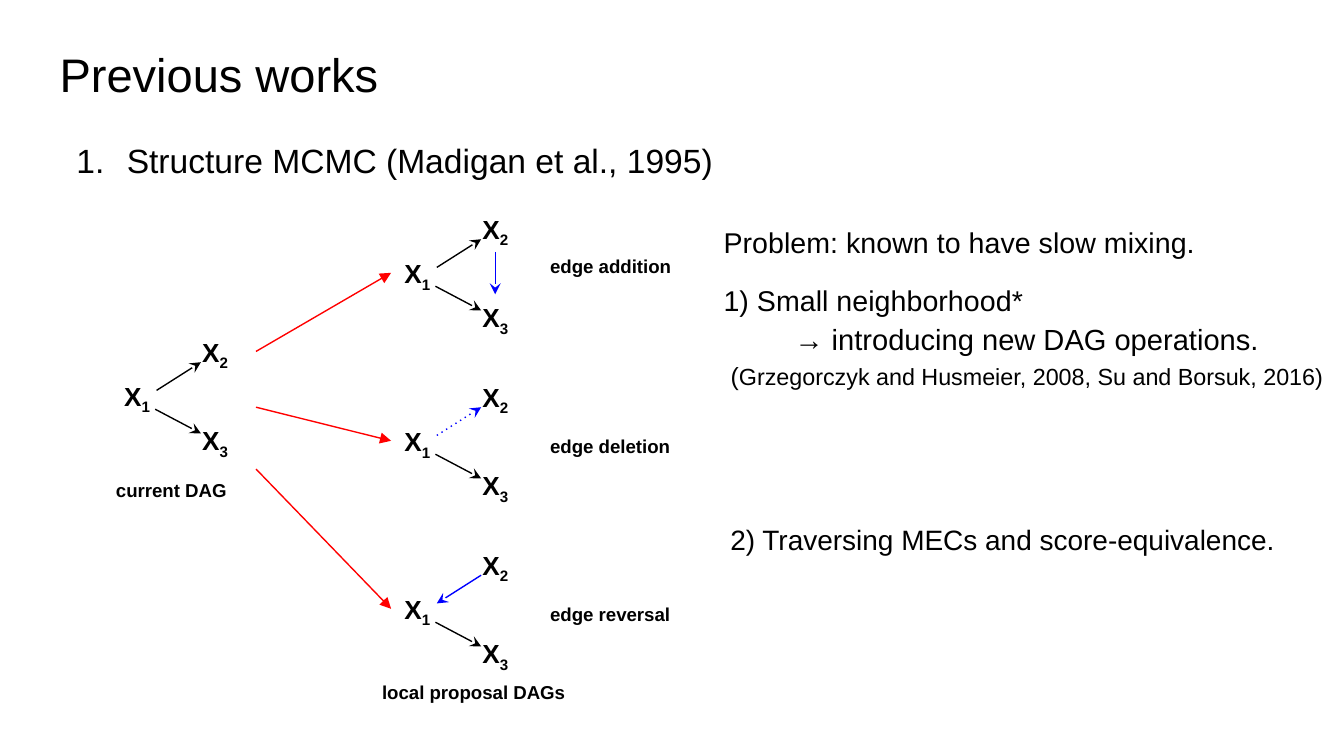
import pptx
import pptx.dml.color
import pptx.enum.shapes
import pptx.enum.text
import pptx.oxml.ns
import pptx.util
from lxml import etree

PX = 4572  # EMU in one px, at 200 px to the inch
FONT = "Arial"
BLACK = pptx.dml.color.RGBColor(0x00, 0x00, 0x00)
BLUE = pptx.dml.color.RGBColor(0x00, 0x00, 0xFF)
RED = pptx.dml.color.RGBColor(0xFF, 0x00, 0x00)
CENTER = pptx.enum.text.PP_ALIGN.CENTER

CURRENT_DAG = (165, 546)
PROPOSAL_X = 582
PROPOSAL_TOPS = (363, 613, 863)


def px(length):
    return pptx.util.Emu(length * PX)


def add_child(parent, tag, **attributes):
    return etree.SubElement(parent, pptx.oxml.ns.qn(tag), attributes)


def add_box(slide, left, top, width, height):
    """Add a wrapping text box with equal insets and return its text frame."""
    frame = slide.shapes.add_textbox(px(left), px(top), px(width), px(height)).text_frame
    frame.word_wrap = True
    frame.margin_left = frame.margin_right = px(20)
    frame.margin_top = frame.margin_bottom = px(20)
    return frame


def add_run(paragraph, text, size, bold=False):
    run = paragraph.add_run()
    run.text = text
    run.font.name = FONT
    run.font.size = pptx.util.Pt(size)
    run.font.bold = bold
    run.font.color.rgb = BLACK
    return run


def add_text(slide, box, text, size, bold=False):
    paragraph = add_box(slide, *box).paragraphs[0]
    add_run(paragraph, text, size, bold)
    return paragraph


def add_arrow(slide, start, end, color=BLACK, head="stealth", dotted=False):
    arrow = slide.shapes.add_connector(
        pptx.enum.shapes.MSO_CONNECTOR.STRAIGHT,
        px(start[0]), px(start[1]), px(end[0]), px(end[1]))
    arrow.line.color.rgb = color
    arrow.line.width = pptx.util.Pt(0.75)
    line = arrow.line._get_or_add_ln()
    if dotted:
        add_child(line, "a:prstDash", val="dot")
    add_child(line, "a:tailEnd", type=head)
    add_child(arrow._element.spPr, "a:effectLst")


def add_node(slide, left, top, index):
    """Add the label X with its index as a subscript."""
    paragraph = add_text(slide, (left, top, 98, 88), "X", 14, bold=True)
    subscript = add_run(paragraph, index, 14, bold=True)
    subscript._r.get_or_add_rPr().set("baseline", "-25000")


def add_dag(slide, left, top, color=BLACK, dotted=False, reverse=False):
    """Add X1 with its edges to X2 and X3; the options style the edge to X2."""
    add_node(slide, left, top, "1")
    add_node(slide, left + 116, top - 66, "2")
    add_node(slide, left + 116, top + 66, "3")
    upper_edge = [(left + 68, top + 35), (left + 134, top - 7)]
    if reverse:
        upper_edge.reverse()
    add_arrow(slide, *upper_edge, color=color, dotted=dotted)
    add_arrow(slide, (left + 66, top + 63), (left + 134, top + 99))


def add_heading(slide):
    add_text(slide, (69, 48, 1864, 126), "Previous works", 25.2)
    method = add_text(slide, (69, 179, 1864, 226),
                      "Structure MCMC (Madigan et al., 1995)", 18)
    properties = method._p.get_or_add_pPr()
    properties.set("marL", str(px(100)))
    properties.set("indent", str(px(-75)))
    add_child(properties, "a:buFont", typeface=FONT)
    add_child(properties, "a:buAutoNum", type="arabicPeriod")
    method.line_spacing = 1.15


def add_proposals(slide):
    add_dag(slide, *CURRENT_DAG)
    addition, deletion, reversal = PROPOSAL_TOPS
    add_dag(slide, PROPOSAL_X, addition)
    add_arrow(slide, (737, 375), (737, 438), BLUE)
    add_dag(slide, PROPOSAL_X, deletion, color=BLUE, dotted=True)
    add_dag(slide, PROPOSAL_X, reversal, color=BLUE, reverse=True)

    for start_y, top in zip((523, 606, 698), PROPOSAL_TOPS):
        add_arrow(slide, (381, start_y), (PROPOSAL_X, top + 43), RED, "triangle")

    for label, left, top, width in (
        ("current DAG", 153, 696, 228),
        ("local proposal DAGs", 549, 997, 334),
        ("edge addition", 799, 363, 278),
        ("edge deletion", 799, 630, 278),
        ("edge reversal", 799, 881, 278),
    ):
        add_text(slide, (left, top, width, 74), label, 10, bold=True)


def add_problems(slide):
    frame = add_box(slide, 1057, 312, 942, 460)
    lines = (
        ([("Problem: known to have slow mixing.", 15.3)], 1.05, None),
        ([("1) Small neighborhood*", 15.3)], 1.05, None),
        ([("→ introducing new DAG operations.", 15.6)], 0.4, CENTER),
        ([("(", 13.3),
          ("Grzegorczyk and Husmeier, 2008, Su and Borsuk, 2016)", 12.5)], 0.4, CENTER),
    )
    for number, (runs, spacing, alignment) in enumerate(lines):
        paragraph = frame.add_paragraph() if number else frame.paragraphs[0]
        paragraph.line_spacing = spacing
        paragraph.alignment = alignment
        if number:
            paragraph.space_before = pptx.util.Pt(12)
        for text, size in runs:
            add_run(paragraph, text, size)

    traversing = add_text(slide, (1067, 750, 933, 90),
                          "2) Traversing MECs and score-equivalence.", 15)
    traversing.line_spacing = 1.15


def main():
    presentation = pptx.Presentation()
    presentation.slide_width = px(2000)
    presentation.slide_height = px(1125)
    slide = presentation.slides.add_slide(presentation.slide_layouts[6])
    add_heading(slide)
    add_proposals(slide)
    add_problems(slide)
    presentation.save("out.pptx")


if __name__ == "__main__":
    main()
